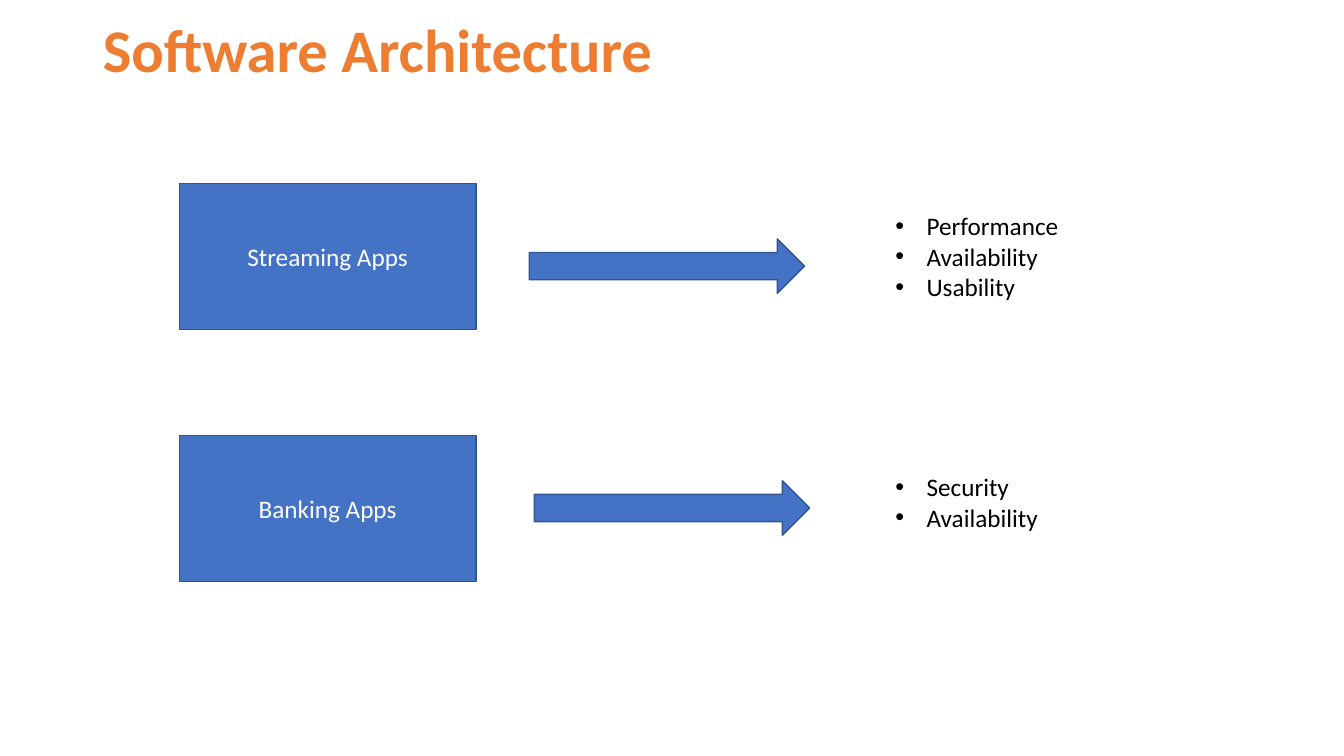
from pptx import Presentation
from pptx.dml.color import RGBColor
from pptx.enum import shapes, text
from pptx.util import Inches, Pt

ORANGE = RGBColor(0xED, 0x7D, 0x31)
BLUE = RGBColor(0x44, 0x72, 0xC4)
DARK_BLUE = RGBColor(0x32, 0x54, 0x91)
WHITE = RGBColor(0xFF, 0xFF, 0xFF)
BLACK = RGBColor(0x00, 0x00, 0x00)
FONT = "Calibri"

APP_WIDTH, APP_HEIGHT = 2.94, 1.45
ARROW_WIDTH, ARROW_HEIGHT = 2.73, 0.54
QUALITIES_OFFSET = 7
BULLET_INDENT = 0.31


def place(item, left, top, width, height):
    item.left, item.top = Inches(left), Inches(top)
    item.width, item.height = Inches(width), Inches(height)


def add_run(paragraph, words, size, color, bold=False):
    run = paragraph.add_run()
    run.text = words
    run.font.name = FONT
    run.font.size = Pt(size)
    run.font.bold = bold
    run.font.color.rgb = color


def add_blue_shape(slide, kind, left, top, width, height):
    block = slide.shapes.add_shape(
        kind, Inches(left), Inches(top), Inches(width), Inches(height))
    block.shadow.inherit = False
    block.fill.solid()
    block.fill.fore_color.rgb = BLUE
    block.line.color.rgb = DARK_BLUE
    block.line.width = Pt(1)
    return block


def fill_heading(heading, words, left, top, width, height):
    place(heading, left, top, width, height)
    frame = heading.text_frame
    frame.auto_size = text.MSO_AUTO_SIZE.NONE
    frame.vertical_anchor = text.MSO_ANCHOR.MIDDLE
    paragraph = frame.paragraphs[0]
    paragraph.alignment = text.PP_ALIGN.LEFT
    paragraph.line_spacing = 0.9
    add_run(paragraph, words, 43.2, ORANGE, bold=True)


def fill_qualities(listing, qualities, left, top, width, height):
    place(listing, left, top, width, height)
    frame = listing.text_frame
    frame.word_wrap = False
    frame.auto_size = text.MSO_AUTO_SIZE.SHAPE_TO_FIT_TEXT
    for index, quality in enumerate(qualities):
        paragraph = frame.add_paragraph() if index else frame.paragraphs[0]
        paragraph.space_before = Pt(0)
        paragraph.line_spacing = 1.0
        properties = paragraph._p.get_or_add_pPr()
        properties.set("marL", str(Inches(BULLET_INDENT)))
        properties.set("indent", str(-Inches(BULLET_INDENT)))
        add_run(paragraph, quality, 18, BLACK)


def add_app_row(slide, listing, app, qualities, left, top,
                arrow_offset, list_offset, list_size):
    app_box = add_blue_shape(slide, shapes.MSO_SHAPE.RECTANGLE,
                             left, top, APP_WIDTH, APP_HEIGHT)
    app_box.text_frame.vertical_anchor = text.MSO_ANCHOR.MIDDLE
    label = app_box.text_frame.paragraphs[0]
    label.alignment = text.PP_ALIGN.CENTER
    add_run(label, app, 18, WHITE)

    arrow_x, arrow_y = arrow_offset
    add_blue_shape(slide, shapes.MSO_SHAPE.RIGHT_ARROW, left + arrow_x,
                   top + arrow_y, ARROW_WIDTH, ARROW_HEIGHT)
    fill_qualities(listing, qualities, left + QUALITIES_OFFSET,
                   top + list_offset, *list_size)


def main():
    deck = Presentation()
    deck.slide_width, deck.slide_height = Inches(13.33), Inches(7.5)
    slide = deck.slides.add_slide(deck.slide_layouts.get_by_name("Two Content"))
    heading, streaming_list, banking_list = list(slide.placeholders)[:3]

    fill_heading(heading, "Software Architecture", 0.92, 0.15, 11.5, 0.74)
    add_app_row(slide, streaming_list, "Streaming Apps",
                ["Performance", "Availability", "Usability"],
                1.78, 1.82, (3.47, 0.55), 0.22, (1.84, 1.01))
    add_app_row(slide, banking_list, "Banking Apps",
                ["Security", "Availability"],
                1.78, 4.32, (3.52, 0.45), 0.31, (1.69, 0.71))
    deck.save("out.pptx")


if __name__ == "__main__":
    main()
